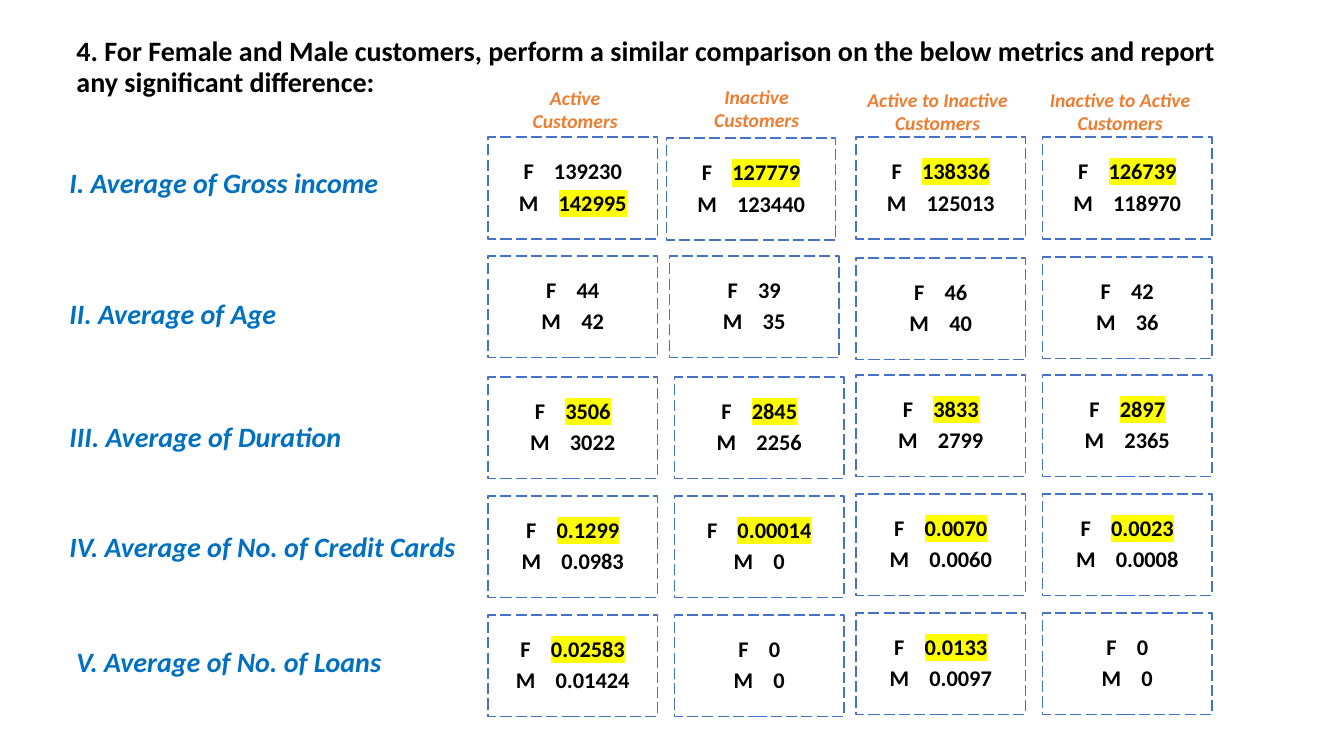
from copy import deepcopy

from lxml.etree import SubElement
from pptx import Presentation
from pptx.dml.color import RGBColor
from pptx.enum.dml import MSO_LINE
from pptx.enum.shapes import MSO_SHAPE
from pptx.enum.text import MSO_ANCHOR, MSO_AUTO_SIZE, PP_ALIGN
from pptx.oxml.ns import qn
from pptx.util import Inches, Pt

COLORS = {"text": "000000", "label": "0070C0", "heading": "ED7D31", "border": "4472C4", "winner": "FFFF00"}
FONTS = {
    "title": {"size": Pt(20), "bold": True},
    "label": {"size": Pt(20), "bold": True, "italic": True},
    "heading": {"size": Pt(14), "bold": True, "italic": True},
    "value": {"size": Pt(16), "bold": True},
}
PARAGRAPHS = {
    "title": {"line_spacing": 0.9},
    "label": {},
    "heading": {"alignment": PP_ALIGN.CENTER},
    "value": {"alignment": PP_ALIGN.CENTER, "line_spacing": 0.9, "space_after": Pt(5.3)},
}
CARD_SIZE = (1.68, 1.01)
CARD_MARGIN = Inches(0.07)
GAP_SPACING = "1085"

TITLE = (
    "4. For Female and Male customers, perform a similar comparison on the below metrics "
    "and report any significant difference:"
)
HEADINGS = [
    ("Active\vCustomers", 4.97, 0.8, 1.47),
    ("Inactive\vCustomers", 6.77, 0.79, 1.47),
    ("Active to Inactive\vCustomers", 8.46, 0.82, 1.68),
    ("Inactive to Active\vCustomers", 10.2, 0.82, 1.82),
]
LABELS = [
    ("I. Average of Gross income", 0.59, 1.59, 3.47),
    ("II. Average of Age", 0.59, 2.89, 3.47),
    ("III. Average of Duration", 0.59, 4.11, 3.47),
    ("IV. Average of No. of Credit Cards", 0.59, 5.2, 4.14),
    ("V. Average of No. of Loans", 0.66, 6.34, 3.47),
]
COLUMNS = [
    ([4.84] * 5, [1.36, 2.54, 3.74, 4.92, 6.1]),
    ([6.61, 6.64, 6.69, 6.69, 6.69], [1.37, 2.54, 3.74, 4.92, 6.1]),
    ([8.49] * 5, [1.36, 2.56, 3.72, 4.9, 6.08]),
    ([10.34] * 5, [1.36, 2.55, 3.72, 4.9, 6.08]),
]
AGE_ROW = 1
AVERAGES = [
    [("139230", "142995"), ("127779", "123440"), ("138336", "125013"), ("126739", "118970")],
    [("44", "42"), ("39", "35"), ("46", "40"), ("42", "36")],
    [("3506", "3022"), ("2845", "2256"), ("3833", "2799"), ("2897", "2365")],
    [("0.1299", "0.0983"), ("0.00014", "0"), ("0.0070", "0.0060"), ("0.0023", "0.0008")],
    [("0.02583", "0.01424"), ("0", "0"), ("0.0133", "0.0097"), ("0", "0")],
]


class SlideBuilder:
    """Draws the comparison elements on one slide in a shared style."""

    def __init__(self, slide):
        self.slide = slide

    def apply(self, target, formats):
        for name, value in formats.items():
            setattr(target, name, value)

    def style_run(self, run, kind):
        self.apply(run.font, {"name": "Calibri", **FONTS[kind]})
        run.font.color.rgb = RGBColor.from_string(COLORS.get(kind, COLORS["text"]))

    def highlight(self, run):
        properties = run._r.get_or_add_rPr()
        highlight = SubElement(properties, qn("a:highlight"))
        SubElement(highlight, qn("a:srgbClr"), val=COLORS["winner"])
        properties.find(qn("a:solidFill")).addnext(highlight)

    def text(self, kind, text, left, top, width, height, frame_formats):
        box = self.slide.shapes.add_textbox(Inches(left), Inches(top), Inches(width), Inches(height))
        self.apply(box.text_frame, {"word_wrap": True, **frame_formats})
        paragraph = box.text_frame.paragraphs[0]
        paragraph.text = text
        self.apply(paragraph, PARAGRAPHS[kind])
        for run in paragraph.runs:
            self.style_run(run, kind)
        for line_break in paragraph._p.findall(qn("a:br")):
            line_break.append(deepcopy(paragraph.runs[0]._r.get_or_add_rPr()))

    def card(self, left, top, averages, mark_winner):
        shape = self.slide.shapes.add_shape(
            MSO_SHAPE.RECTANGLE, Inches(left), Inches(top), *map(Inches, CARD_SIZE)
        )
        shape.shadow.inherit = False
        shape.fill.background()
        shape.line.color.rgb = RGBColor.from_string(COLORS["border"])
        self.apply(shape.line, {"width": Pt(1), "dash_style": MSO_LINE.LONG_DASH})
        frame = shape.text_frame
        margins = {f"margin_{side}": CARD_MARGIN for side in ("left", "top", "right", "bottom")}
        self.apply(frame, {"word_wrap": True, "vertical_anchor": MSO_ANCHOR.MIDDLE, **margins})
        for index, (gender, average) in enumerate(zip("FM", averages)):
            paragraph = frame.add_paragraph() if index else frame.paragraphs[0]
            self.apply(paragraph, PARAGRAPHS["value"])
            for text in (gender, " ", average):
                run = paragraph.add_run()
                run.text = text
                self.style_run(run, "value")
                if text == " ":
                    run._r.get_or_add_rPr().set("spc", GAP_SPACING)
            if mark_winner and float(average) > float(averages[1 - index]):
                self.highlight(run)


def main():
    presentation = Presentation()
    presentation.slide_width = Inches(13.33)
    presentation.slide_height = Inches(7.5)
    builder = SlideBuilder(presentation.slides.add_slide(presentation.slide_layouts[6]))
    builder.text("title", TITLE, 0.66, 0.29, 11.59, 0.77, {"vertical_anchor": MSO_ANCHOR.MIDDLE})
    for row, pairs in enumerate(AVERAGES):
        for (lefts, tops), averages in zip(COLUMNS, pairs):
            builder.card(lefts[row], tops[row], averages, row != AGE_ROW)
    for kind, height, items in (("label", 0.44, LABELS), ("heading", 0.57, HEADINGS)):
        for text, left, top, width in items:
            builder.text(kind, text, left, top, width, height, {"auto_size": MSO_AUTO_SIZE.SHAPE_TO_FIT_TEXT})
    presentation.save("out.pptx")


if __name__ == "__main__":
    main()
